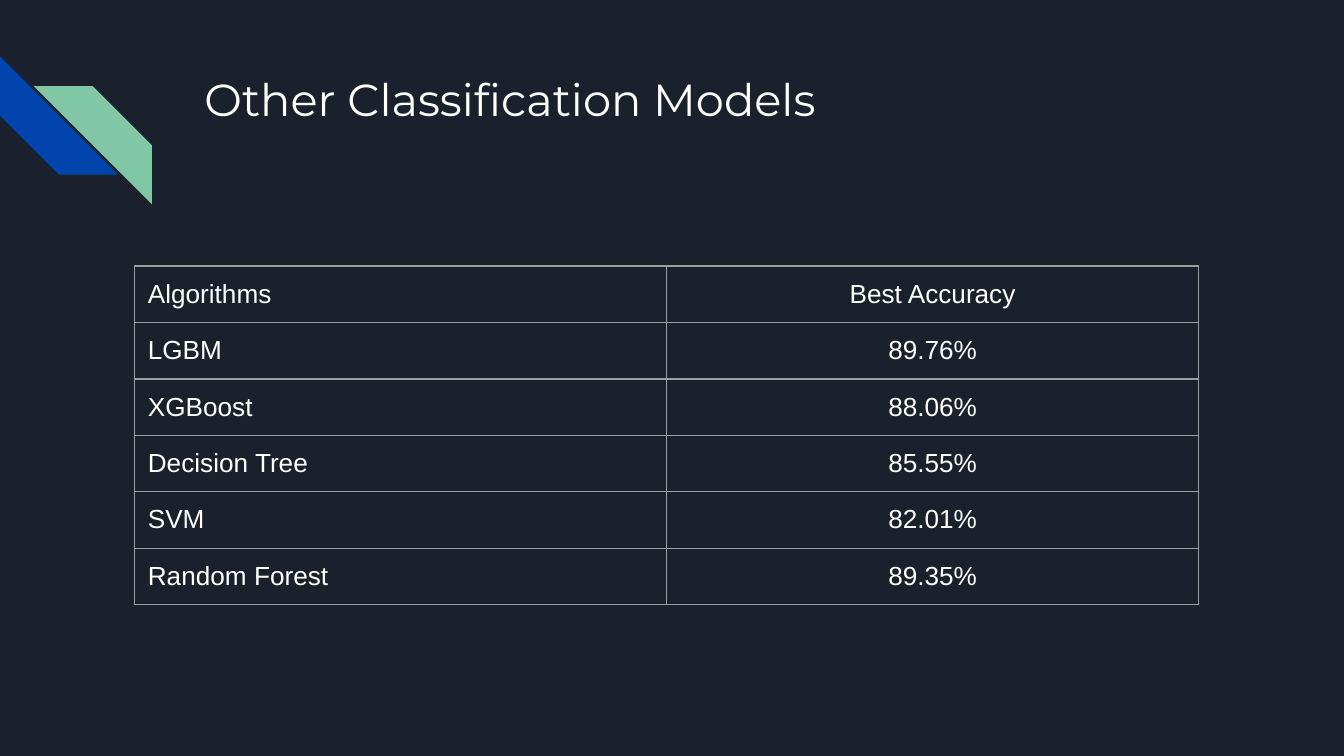
from pptx import Presentation
from pptx.dml.color import RGBColor
from pptx.enum.shapes import MSO_SHAPE
from pptx.enum.text import MSO_ANCHOR, PP_ALIGN
from pptx.oxml import parse_xml
from pptx.oxml.ns import nsdecls
from pptx.util import Inches, Pt

COLORS = {"background": "1B212C", "blue": "0145AC", "green": "82C7A5",
          "text": "FFFFFF", "border": "9E9E9E"}
ROWS = [("Algorithms", "Best Accuracy"),
        ("LGBM", "89.76%"),
        ("XGBoost", "88.06%"),
        ("Decision Tree", "85.55%"),
        ("SVM", "82.01%"),
        ("Random Forest", "89.35%")]
COL_W, ROW_H, INSET = 3.96, 0.42, Inches(0.1)


def rgb(name):
    return RGBColor.from_string(COLORS[name])


def set_font(p, name, size):
    p.font.name, p.font.size = name, Pt(size)
    p.font.color.rgb = rgb("text")


# Widescreen 16:9 slide
prs = Presentation()
prs.slide_width = Inches(10)
prs.slide_height = Inches(10 * 9 / 16)
s = prs.slides.add_slide(prs.slide_layouts[5])
s.background.fill.solid()
s.background.fill.fore_color.rgb = rgb("background")

# Corner stripes: one turned, one mirrored
stripes = []
for left, top, color in [(0, 0.42, "blue"), (0.25, 0.64, "green")]:
    sp = s.shapes.add_shape(MSO_SHAPE.DIAGONAL_STRIPE, Inches(left), Inches(top),
                            Inches(0.88), Inches(0.88))
    sp.adjustments[0] = 0.5
    sp.shadow.inherit = False
    sp.fill.solid()
    sp.fill.fore_color.rgb = rgb(color)
    sp.line.fill.background()
    stripes.append(sp)
blue, green = stripes
blue.rotation = 270
green._element.spPr.xfrm.set("flipH", "1")

# Title
title = s.shapes.title
title.left, title.top = Inches(1.42), Inches(0.43)
title.width, title.height = Inches(7.7), Inches(1)
tf = title.text_frame
tf.text = "Other Classification Models"
tf.word_wrap = True
tf.vertical_anchor = MSO_ANCHOR.TOP
tf.margin_left = tf.margin_right = tf.margin_top = tf.margin_bottom = INSET
p = tf.paragraphs[0]
p.alignment = PP_ALIGN.LEFT
set_font(p, "Montserrat", 24)

# Accuracy table
table = s.shapes.add_table(len(ROWS), 2, Inches(1), Inches(1.98),
                           Inches(2 * COL_W), Inches(len(ROWS) * ROW_H)).table
table.first_row = table.horz_banding = False
for col in table.columns:
    col.width = Inches(COL_W)
for row, texts in zip(table.rows, ROWS):
    row.height = Inches(ROW_H)
    for cell, text, align in zip(row.cells, texts, (PP_ALIGN.LEFT, PP_ALIGN.CENTER)):
        cell.text = text
        cell.margin_left = cell.margin_right = INSET
        cell.margin_top = cell.margin_bottom = INSET
        p = cell.text_frame.paragraphs[0]
        p.alignment = align
        set_font(p, "Arial", 14)
        # Borders come before the fill in the cell properties
        tc_pr = cell._tc.get_or_add_tcPr()
        for side in ("lnL", "lnR", "lnT", "lnB"):
            tc_pr.append(parse_xml(
                f'<a:{side} {nsdecls("a")} w="{Pt(0.75)}"><a:solidFill>'
                f'<a:srgbClr val="{COLORS["border"]}"/></a:solidFill></a:{side}>'))
        cell.fill.background()

prs.save("out.pptx")
